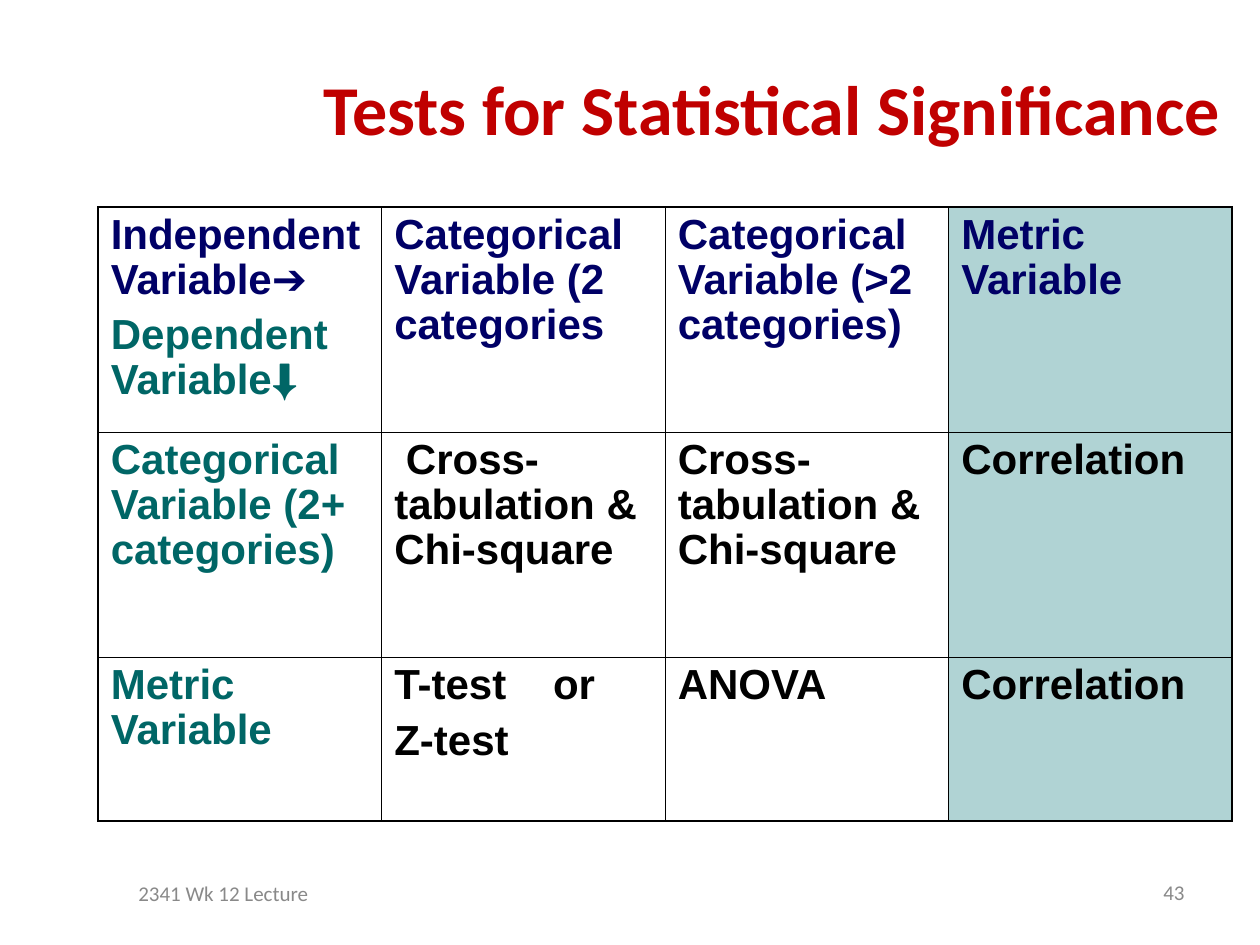
from lxml import etree
from pptx import Presentation
from pptx.dml.color import RGBColor
from pptx.enum.text import MSO_ANCHOR, PP_ALIGN
from pptx.oxml.ns import qn
from pptx.util import Cm, Pt

LEFT, RIGHT = PP_ALIGN.LEFT, PP_ALIGN.RIGHT
MIDDLE = MSO_ANCHOR.MIDDLE

RED = RGBColor(0xC0, 0x00, 0x00)
GREY = RGBColor(0x89, 0x89, 0x89)
NAVY = RGBColor(0x00, 0x00, 0x66)
TEAL = RGBColor(0x00, 0x66, 0x66)
BLACK = RGBColor(0x00, 0x00, 0x00)
MINT = RGBColor(0xB0, 0xD3, 0xD4)

TITLE = {"name": "Calibri", "size": Pt(40), "bold": True}
SMALL = {"name": "Calibri", "size": Pt(12)}
BODY = {"name": "Arial", "size": Pt(24), "bold": True}

THICK, THIN = Pt(1.08), Pt(0.45)
TAB = Cm(3.2)

# Each cell is a list of (text, colour) paragraphs
GRID = [
    [[("Independent Variable➔", NAVY), ("Dependent Variable⬇", TEAL)],
     [("Categorical Variable (2 categories", NAVY)],
     [("Categorical Variable (>2 categories)", NAVY)],
     [("Metric Variable", NAVY)]],
    [[("Categorical Variable (2+ categories)", TEAL)],
     [(" Cross-tabulation & Chi-square", BLACK)],
     [("Cross-tabulation & Chi-square", BLACK)],
     [("Correlation", BLACK)]],
    [[("Metric Variable", TEAL)],
     [("T-test\tor", BLACK), ("Z-test", BLACK)],
     [("ANOVA", BLACK)],
     [("Correlation", BLACK)]],
]
HEIGHTS = [4.54, 4.54, 3.3]


def set_font(font, look, color):
    for key, value in look.items():
        setattr(font, key, value)
    font.color.rgb = color


def add_text(slide, text, box, look, color, align):
    frame = slide.shapes.add_textbox(*map(Cm, box)).text_frame
    frame.word_wrap = True
    frame.vertical_anchor = MIDDLE
    para = frame.paragraphs[0]
    para.text = text
    para.alignment = align
    set_font(para.font, look, color)


def add_tab(para):
    tabs = etree.SubElement(para._p.get_or_add_pPr(), qn("a:tabLst"))
    etree.SubElement(tabs, qn("a:tab"), pos=str(TAB), algn="l")


def add_edge(cell, side, width):
    props = cell._tc.get_or_add_tcPr()
    line = etree.SubElement(props, qn("a:ln" + side), w=str(width))
    fill = etree.SubElement(line, qn("a:solidFill"))
    etree.SubElement(fill, qn("a:srgbClr"), val=str(BLACK))


def fill_cell(cell, parts):
    frame = cell.text_frame
    for i, (text, color) in enumerate(parts):
        para = frame.add_paragraph() if i else frame.paragraphs[0]
        para.text = text
        para.line_spacing = 0.96
        if i:
            para.space_before = Pt(6)
        if "\t" in text:
            add_tab(para)
        set_font(para.font, BODY, color)


def add_grid(slide):
    rows, cols = len(GRID), len(GRID[0])
    box = map(Cm, (1.98, 4.17, 22.86, sum(HEIGHTS)))
    table = slide.shapes.add_table(rows, cols, *box).table
    table.first_row = table.horz_banding = False
    for r, items in enumerate(GRID):
        table.rows[r].height = Cm(HEIGHTS[r])
        for c, parts in enumerate(items):
            cell = table.cell(r, c)
            fill_cell(cell, parts)
            # Outer edges are thick, inner ones thin
            outer = {"L": c == 0, "R": c == cols - 1,
                     "T": r == 0, "B": r == rows - 1}
            for side, edge in outer.items():
                add_edge(cell, side, THICK if edge else THIN)
            # The last column is tinted
            if outer["R"]:
                cell.fill.solid()
                cell.fill.fore_color.rgb = MINT
            else:
                cell.fill.background()


def main():
    deck = Presentation()
    deck.slide_width, deck.slide_height = Cm(25.4), Cm(19.05)
    slide = deck.slides.add_slide(deck.slide_layouts[6])

    # Footer and page number
    add_text(slide, "2341 Wk 12 Lecture", (2.54, 17.37, 5.51, 1.27),
             SMALL, GREY, LEFT)
    add_text(slide, "43", (18.85, 17.35, 5.28, 1.27), SMALL, GREY, RIGHT)

    # Title
    add_text(slide, "Tests for Statistical Significance",
             (1.78, 0.58, 23.06, 3.18), TITLE, RED, RIGHT)

    # Table of tests
    add_grid(slide)
    deck.save("out.pptx")


if __name__ == "__main__":
    main()
